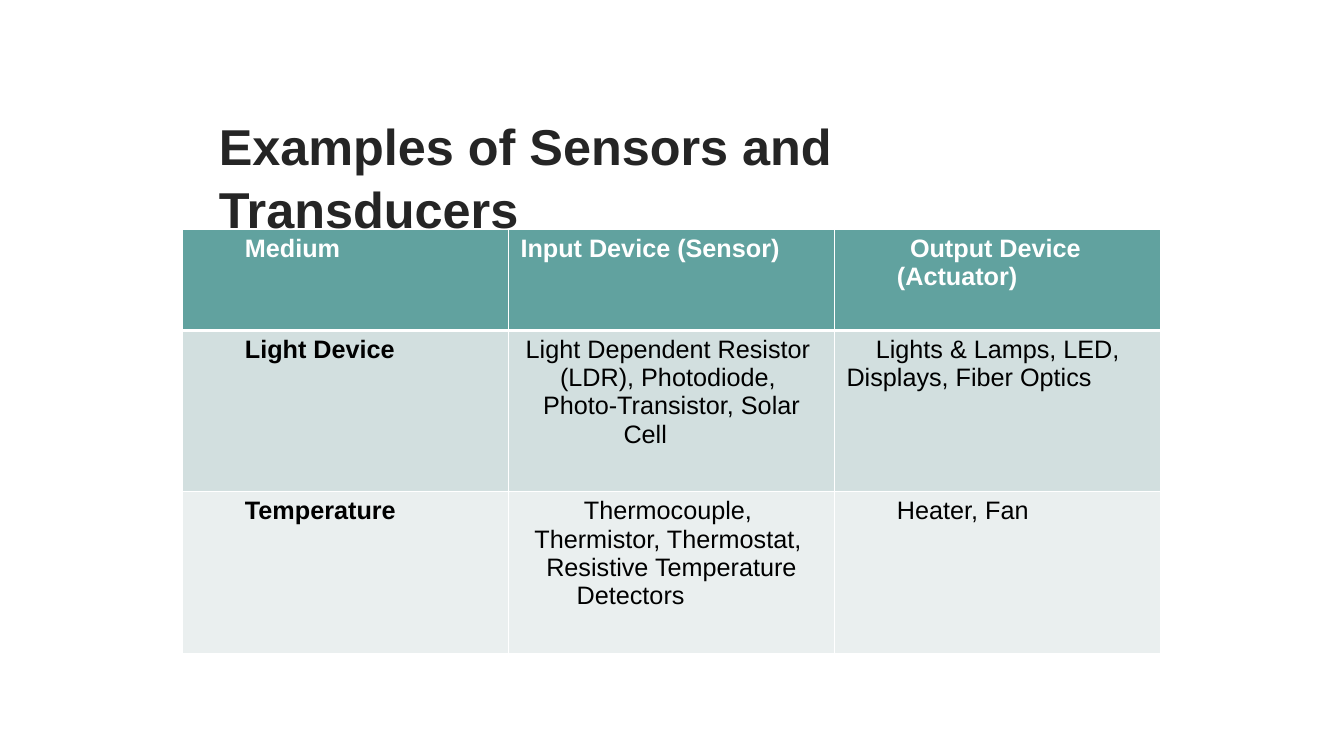
from collections import namedtuple

from lxml.etree import SubElement
from pptx import Presentation
from pptx.dml.color import RGBColor
from pptx.enum.text import MSO_ANCHOR as Anchor, MSO_AUTO_SIZE as AutoSize, PP_ALIGN as Align
from pptx.oxml.ns import qn
from pptx.util import Inches, Pt

INK = RGBColor(0x25, 0x25, 0x25)
BLACK = RGBColor(0, 0, 0)
WHITE = RGBColor(0xFF, 0xFF, 0xFF)
TEAL = RGBColor(0x61, 0xA2, 0x9F)
MIST = RGBColor(0xD2, 0xDF, 0xDF)
PALE = RGBColor(0xEA, 0xEF, 0xEF)

Box = namedtuple("Box", "left top width height")
Line = namedtuple("Line", "text left first right align", defaults=(0.62, 0, 0, Align.LEFT))
Band = namedtuple("Band", "height fill color space_before cells")

TITLE_BOX = Box(2.16, 1.1, 9.01, 0.63)
TABLE_BOX = Box(1.81, 2.28, 9.7, 4.2)
THIN, THICK = Pt(1), Pt(3)

BANDS = [
    Band(1, TEAL, WHITE, 3.2, [
        [Line("Medium")],
        [Line("Input Device (Sensor)", 0.12)],
        [Line("Output Device  (Actuator)", first=0.13)],
    ]),
    Band(1.6, MIST, BLACK, 3.3, [
        [Line("Light Device")],
        [Line("Light Dependent Resistor  (LDR), Photodiode,  Photo-Transistor, Solar",
              0.12, right=0.12, align=Align.CENTER),
         Line("Cell", 0, right=0.52, align=Align.CENTER)],
        [Line("Lights & Lamps, LED,  Displays, Fiber Optics", 0.12, 0.29)],
    ]),
    Band(1.6, PALE, BLACK, 3.3, [
        [Line("Temperature")],
        [Line("Thermocouple,  Thermistor, Thermostat,  Resistive Temperature",
              0.25, right=0.25, align=Align.CENTER),
         Line("Detectors", 0, right=0.81, align=Align.CENTER)],
        [Line("Heater, Fan")],
    ]),
]


def apply(target, values):
    """Set each attribute named in values on the target."""
    for name, value in values.items():
        setattr(target, name, value)


def write_run(paragraph, text, size, color, bold):
    """Add one Arial run to the paragraph."""
    run = paragraph.add_run()
    run.text = text
    apply(run.font, {"name": "Arial", "size": Pt(size), "bold": bold})
    run.font.color.rgb = color


def indent(paragraph, left, first=0, right=0):
    """Set the paragraph's margins and first-line indent in inches."""
    properties = paragraph._p.get_or_add_pPr()
    for name, value in {"marL": left, "indent": first, "marR": right}.items():
        properties.set(name, str(Inches(value)))


def draw_borders(cell, widths):
    """Draw solid white borders of the given widths around the cell."""
    properties = cell._tc.get_or_add_tcPr()
    for position, (side, width) in enumerate(widths.items()):
        border = SubElement(properties, qn(f"a:ln{side}"), w=str(width))
        fill = SubElement(border, qn("a:solidFill"))
        SubElement(fill, qn("a:srgbClr"), val=str(WHITE))
        properties.insert(position, border)


def add_title(slide, box):
    """Place the heading in the title placeholder."""
    title = slide.shapes.title
    apply(title, {name: Inches(value) for name, value in box._asdict().items()})
    frame = title.text_frame
    apply(frame, {"margin_left": 0, "margin_top": Inches(0.01), "margin_right": 0,
                  "margin_bottom": 0, "word_wrap": True, "vertical_anchor": Anchor.TOP,
                  "auto_size": AutoSize.SHAPE_TO_FIT_TEXT})
    heading = frame.paragraphs[0]
    apply(heading, {"alignment": Align.LEFT, "space_before": Pt(1), "line_spacing": 1.05})
    indent(heading, 0.01)
    write_run(heading, "Examples of Sensors and Transducers", 36, INK, True)


def fill_cell(cell, lines, band, bold):
    """Write the lines of one cell and colour it for its band."""
    apply(cell, {"margin_left": 0, "margin_top": Inches(0.05), "margin_right": 0,
                 "margin_bottom": 0, "vertical_anchor": Anchor.TOP})
    cell.fill.solid()
    cell.fill.fore_color.rgb = band.fill
    for number, line in enumerate(lines):
        frame = cell.text_frame
        paragraph = frame.add_paragraph() if number else frame.paragraphs[0]
        apply(paragraph, {"alignment": line.align,
                          "space_before": Pt(0 if number else band.space_before)})
        indent(paragraph, line.left, line.first, line.right)
        write_run(paragraph, line.text, 18, band.color, bold)


def add_device_table(slide, box, bands):
    """Place the table of input and output devices."""
    columns = len(bands[0].cells)
    table = slide.shapes.add_table(len(bands), columns, *map(Inches, box)).table
    table.horz_banding = False
    for column in table.columns:
        column.width = Inches(box.width / columns)
    for row, band in enumerate(bands):
        table.rows[row].height = Inches(band.height)
        for column, lines in enumerate(band.cells):
            cell = table.cell(row, column)
            fill_cell(cell, lines, band, row == 0 or column == 0)
            draw_borders(cell, {"L": THIN, "R": THIN,
                                "T": THICK if row == 1 else THIN,
                                "B": THICK if row == 0 else THIN})


def main():
    """Build and save the slide."""
    deck = Presentation()
    apply(deck, {"slide_width": Inches(13.33), "slide_height": Inches(7.5)})
    slide = deck.slides.add_slide(deck.slide_layouts[5])
    add_title(slide, TITLE_BOX)
    add_device_table(slide, TABLE_BOX, BANDS)
    deck.save("out.pptx")


if __name__ == "__main__":
    main()
